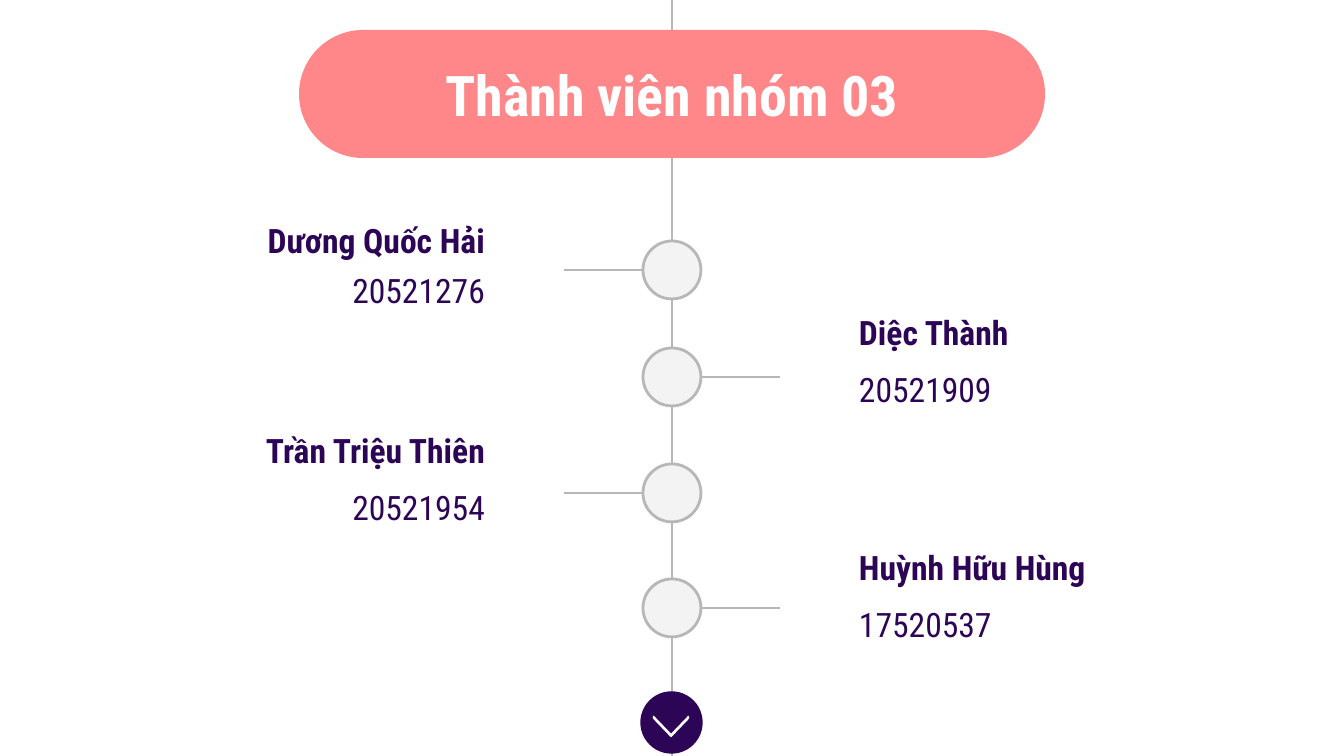
from lxml import etree
from pptx import Presentation
from pptx.dml.color import RGBColor
from pptx.enum.shapes import MSO_CONNECTOR, MSO_SHAPE
from pptx.enum.text import MSO_ANCHOR, PP_ALIGN
from pptx.oxml.ns import qn
from pptx.util import Emu, Pt

PILL, OVAL, CHEVRON = MSO_SHAPE.ROUNDED_RECTANGLE, MSO_SHAPE.OVAL, MSO_SHAPE.CHEVRON
STRAIGHT = MSO_CONNECTOR.STRAIGHT
LEFT, CENTER, RIGHT = PP_ALIGN.LEFT, PP_ALIGN.CENTER, PP_ALIGN.RIGHT
TOP, MIDDLE, BOTTOM = MSO_ANCHOR.TOP, MSO_ANCHOR.MIDDLE, MSO_ANCHOR.BOTTOM

SCALE = 914400 / 134.4
WIDTH, HEIGHT = 1344, 756
FONT = "Roboto Condensed"
WHITE, PINK, PURPLE, GRAY, PALE = "FFFFFF", "FF878A", "2D0557", "B7B7B7", "F3F3F3"
DOT, STUB, TEXT_W = 58, 79, 344

# name, number, dot top, rise of name above dot, step from name to number
MEMBERS = [
    ("Dương Quốc Hải", "20521276", 241, 26, 42),
    ("Diệc Thành", "20521909", 348, 41, 49),
    ("Trần Triệu Thiên", "20521954", 464, 39, 49),
    ("Huỳnh Hữu Hùng", "17520537", 579, 37, 49),
]


def px(num):
    """Turn pixels into EMU."""
    return Emu(round(num * SCALE))


def paint(color, tone):
    """Set a colour format from a hex string."""
    color.rgb = RGBColor.from_string(tone)


def add_text(slide, box, text, size=18, tone=PURPLE, bold=False, align=LEFT, anchor=TOP):
    """Add a text box with one formatted line."""
    frame = slide.shapes.add_textbox(*map(px, box)).text_frame
    frame.word_wrap = True
    frame.vertical_anchor = anchor
    frame.margin_left = frame.margin_right = px(13)
    frame.margin_top = frame.margin_bottom = px(13)
    para = frame.paragraphs[0]
    para.alignment = align
    run = para.add_run()
    run.text = text
    run.font.name, run.font.size, run.font.bold = FONT, Pt(size), bold
    paint(run.font.color, tone)


def add_shape(slide, kind, box, fill, line=None, width=1.5):
    """Add a flat preset shape."""
    shape = slide.shapes.add_shape(kind, *map(px, box))
    shape.shadow.inherit = False
    shape.fill.solid()
    paint(shape.fill.fore_color, fill)
    if line:
        paint(shape.line.color, line)
        shape.line.width = Pt(width)
    else:
        shape.line.fill.background()
    return shape


def add_line(slide, *ends):
    """Add a plain gray line."""
    line = slide.shapes.add_connector(STRAIGHT, *map(px, ends))
    paint(line.line.color, GRAY)
    line.line.width = Pt(1.5)
    etree.SubElement(line._element.spPr, qn("a:effectLst"))


def draw_title(slide, box):
    """Draw the title pill."""
    left, top, wide, high = box
    add_shape(slide, PILL, box, PINK).adjustments[0] = 0.5
    add_text(slide, (left + 77, top + 5, wide - 154, high - 10), "Thành viên nhóm 03",
             size=30, tone=WHITE, bold=True, align=CENTER, anchor=MIDDLE)


def draw_member(slide, box, name, number, rise, step, on_left):
    """Draw a dot with its stub, name and number on one side."""
    left, top, wide, high = box
    dot_x, mid = left + (wide - high) // 2, top + high // 2
    edge = dot_x - STUB if on_left else dot_x + high
    text_x = left if on_left else left + wide - TEXT_W
    align = RIGHT if on_left else LEFT
    add_shape(slide, OVAL, (dot_x, top, high, high), PALE, GRAY)
    add_line(slide, edge, mid, edge + STUB, mid)
    name_y = top - rise
    add_text(slide, (text_x, name_y, TEXT_W, 58), name, bold=True, align=align, anchor=BOTTOM)
    add_text(slide, (text_x, name_y + step, TEXT_W, 91), number, align=align)


def draw_arrow(slide, box):
    """Draw the round down arrow."""
    left, top, wide, high = box
    add_shape(slide, OVAL, box, PURPLE, PURPLE, 0.75)
    tip = add_shape(slide, CHEVRON, (left + wide // 2 - 10, top + 17, 20, 35), WHITE, WHITE, 0.75)
    tip.adjustments[0] = 0.91
    tip.rotation = 90


def main():
    """Build and save the slide."""
    deck = Presentation()
    deck.slide_width, deck.slide_height = px(WIDTH), px(HEIGHT)
    slide = deck.slides.add_slide(deck.slide_layouts[6])
    add_line(slide, WIDTH // 2, 0, WIDTH // 2, HEIGHT)
    draw_title(slide, (299, 30, 746, 128))
    for rank, (name, number, top, rise, step) in enumerate(MEMBERS):
        draw_member(slide, (154, top, 1036, DOT), name, number, rise, step, rank % 2 == 0)
    draw_arrow(slide, (641, 692, 61, 61))
    deck.save("out.pptx")


if __name__ == "__main__":
    main()
